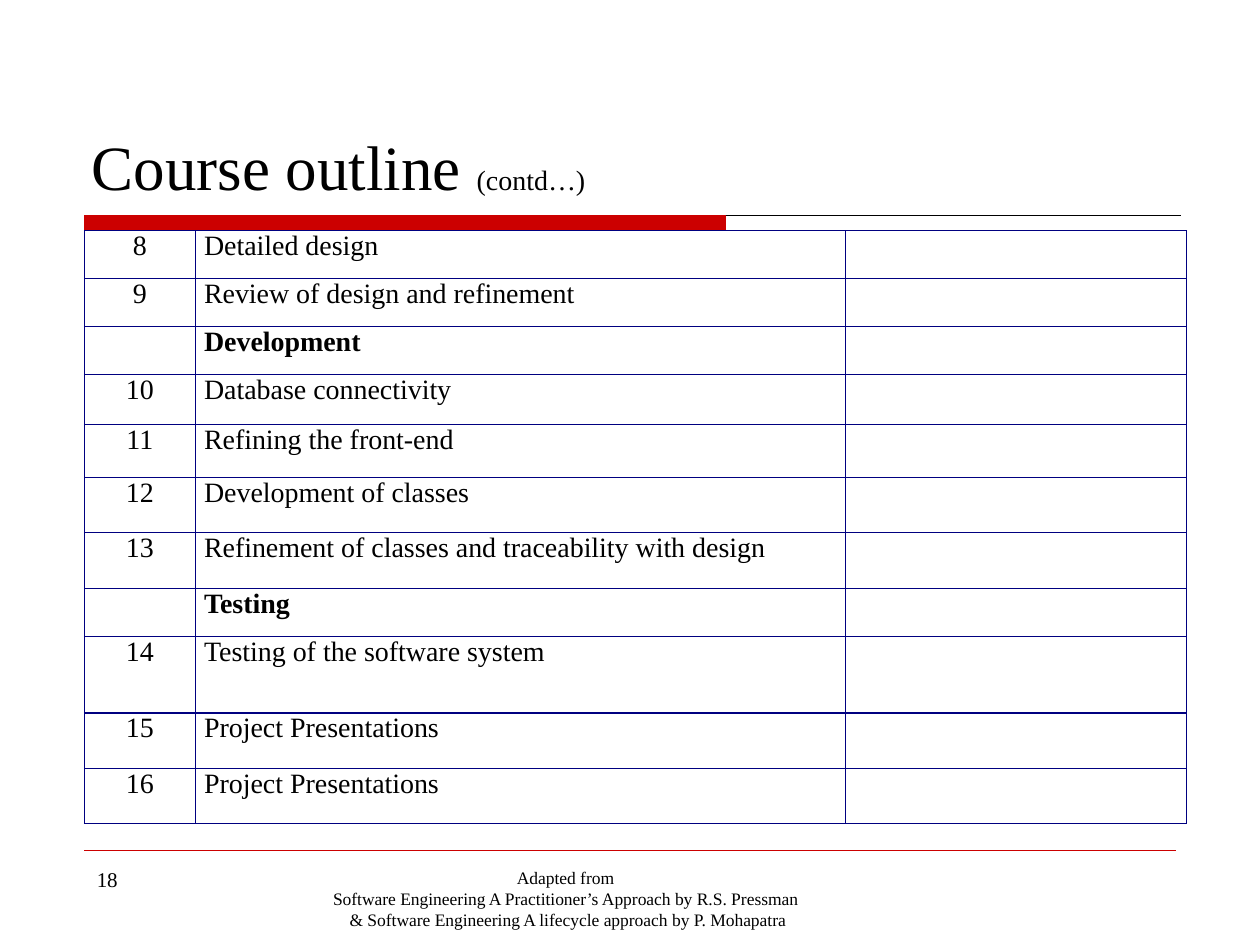
from lxml.etree import SubElement
from pptx import Presentation
from pptx.dml.color import RGBColor
from pptx.enum.shapes import MSO_CONNECTOR, MSO_SHAPE
from pptx.enum.text import MSO_ANCHOR, PP_ALIGN
from pptx.oxml import parse_xml
from pptx.oxml.ns import nsdecls, qn
from pptx.util import Inches, Pt

BLACK = RGBColor(0x00, 0x00, 0x00)
RED = RGBColor(0xCC, 0x00, 0x00)
NAVY = RGBColor(0x00, 0x00, 0x80)
FONT = "Times New Roman"

COLS = [0.88, 5.16, 2.71]
# week, topic, row height; a row without a week is a section heading
ROWS = [
    ("8", "Detailed design", 0.38),
    ("9", "Review of design and refinement", 0.38),
    ("", "Development", 0.38),
    ("10", "Database connectivity", 0.4),
    ("11", "Refining the front-end", 0.42),
    ("12", "Development of classes", 0.44),
    ("13", "Refinement of classes and traceability with design", 0.44),
    ("", "Testing", 0.38),
    ("14", "Testing of the software system", 0.61),
    ("15", "Project Presentations", 0.44),
    ("16", "Project Presentations", 0.44),
]
CREDITS = [
    "Adapted from ",
    "Software Engineering A Practitioner’s Approach by R.S. Pressman ",
    "& Software Engineering A lifecycle approach by P. Mohapatra",
]


def add_run(para, text, size, bold=False):
    run = para.add_run()
    run.text = text
    run.font.name = FONT
    run.font.size = Pt(size)
    run.font.bold = bold
    run.font.color.rgb = BLACK


def add_text(slide, box, lines, align=PP_ALIGN.LEFT, anchor=MSO_ANCHOR.TOP):
    """Place a text box; each line is a list of (text, size) runs."""
    frame = slide.shapes.add_textbox(*map(Inches, box)).text_frame
    frame.word_wrap = True
    frame.vertical_anchor = anchor
    for i, line in enumerate(lines):
        para = frame.paragraphs[0] if i == 0 else frame.add_paragraph()
        para.alignment = align
        for text, size in line:
            add_run(para, text, size)


def add_rule(slide, left, top, width, color):
    rule = slide.shapes.add_connector(
        MSO_CONNECTOR.STRAIGHT,
        Inches(left), Inches(top), Inches(left + width), Inches(top))
    rule.line.color.rgb = color
    rule.line.width = Pt(0.75)
    SubElement(rule._element.spPr, qn("a:effectLst"))


def add_header(slide, left, top, width, height):
    title = [("Course outline ", 36), ("(contd…)", 16)]
    add_text(slide, (left, top, width, height), [title],
             anchor=MSO_ANCHOR.BOTTOM)
    edge, base = left + 0.04, top + height + 0.05
    add_rule(slide, edge, base, 8.7, BLACK)
    bar = slide.shapes.add_shape(
        MSO_SHAPE.RECTANGLE,
        Inches(edge), Inches(base), Inches(5.09), Inches(0.12))
    bar.shadow.inherit = False
    bar.fill.solid()
    bar.fill.fore_color.rgb = RED
    bar.line.color.rgb = RED
    bar.line.width = Pt(0.75)


def style_cell(cell):
    """Clear the fill and draw a thin navy border on every side."""
    cell.margin_left = cell.margin_right = Inches(0.07)
    cell.margin_top = cell.margin_bottom = 0
    props = cell._tc.get_or_add_tcPr()
    for side in ("lnL", "lnR", "lnT", "lnB"):
        props.append(parse_xml(
            f'<a:{side} {nsdecls("a")} w="{Pt(0.75)}"><a:solidFill>'
            f'<a:srgbClr val="{NAVY}"/></a:solidFill></a:{side}>'))
    cell.fill.background()


def add_outline(slide, left, top):
    height = sum(row[2] for row in ROWS)
    table = slide.shapes.add_table(
        len(ROWS), len(COLS), Inches(left), Inches(top),
        Inches(sum(COLS)), Inches(height)).table
    table.first_row = table.horz_banding = False
    for col, width in zip(table.columns, COLS):
        col.width = Inches(width)
    for row, (week, topic, tall) in zip(table.rows, ROWS):
        row.height = Inches(tall)
        for cell in row.cells:
            style_cell(cell)
        first, second = (row.cells[i].text_frame.paragraphs[0]
                         for i in range(2))
        if week:
            first.alignment = PP_ALIGN.CENTER
            add_run(first, week, 16)
        add_run(second, topic, 16, bold=not week)


def add_footer(slide, left, top, width):
    add_rule(slide, left, top, width, RED)
    base = top + 0.08
    add_text(slide, (left, base, 2.17, 0.52), [[("18", 12)]])
    add_text(slide, (left + 1.75, base, 4.17, 0.42),
             [[(line, 10)] for line in CREDITS], PP_ALIGN.CENTER)


def main():
    deck = Presentation()
    deck.slide_width, deck.slide_height = Inches(10), Inches(7.5)
    slide = deck.slides.add_slide(deck.slide_layouts[6])
    add_header(slide, 0.63, 0.33, 8.75, 1.33)
    add_outline(slide, 0.67, 1.83)
    add_footer(slide, 0.67, 6.75, 8.66)
    deck.save("out.pptx")


if __name__ == "__main__":
    main()
